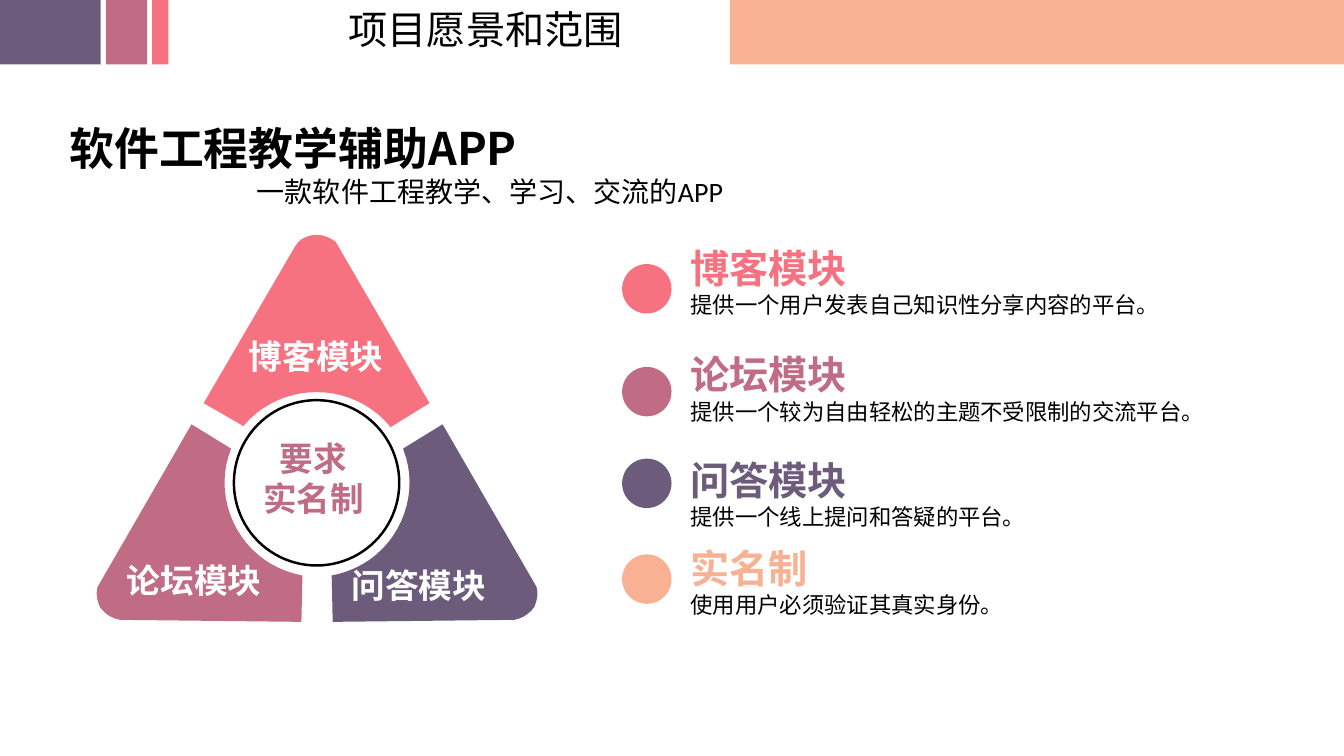
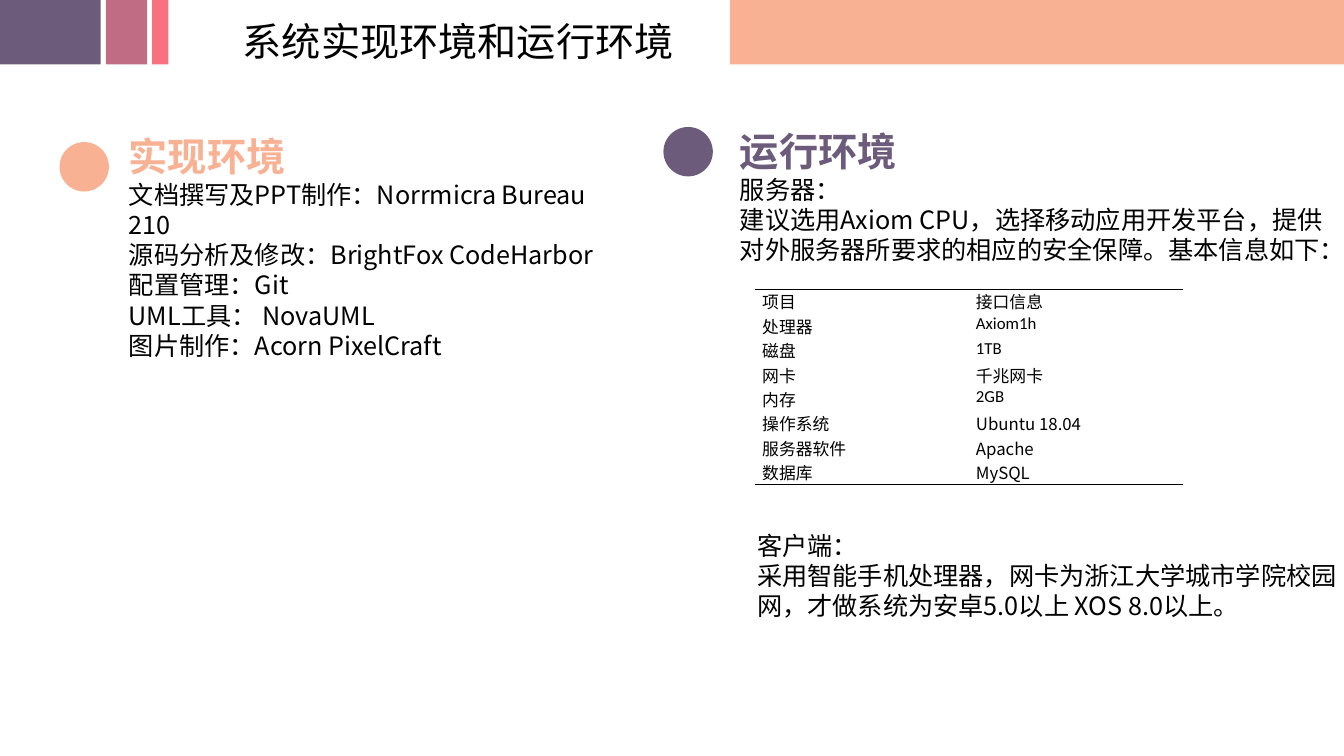
from lxml import etree
from pptx import Presentation
from pptx.dml.color import RGBColor
from pptx.enum.shapes import MSO_SHAPE
from pptx.enum.text import PP_ALIGN
from pptx.oxml.ns import qn
from pptx.util import Inches, Pt

RECTANGLE, OVAL = MSO_SHAPE.RECTANGLE, MSO_SHAPE.OVAL
LEFT, CENTER, JUSTIFY = PP_ALIGN.LEFT, PP_ALIGN.CENTER, PP_ALIGN.JUSTIFY
COLORS = {"peach": "F8B193", "purple": "6C5B7B", "mauve": "C06C84",
          "coral": "F67280", "black": "000000", "white": "FFFFFF"}
CJK, LATIN = "Noto Sans CJK SC", "Calibri"
PLAIN_TABLE_STYLE = "{2D5ABB26-0587-4C30-8999-92F81FD0307C}"

BAND_HEIGHT = 0.64
BANDS = [(7.24, 6.09, "peach"), (0, 1, "purple"),
         (1.05, 0.41, "mauve"), (1.51, 0.16, "coral")]
DOT_SIZE = 0.49

# Outlines inside the triangle box: pairs are corners, sixes are Bézier curves
TRIANGLE_WIDTH = 4.39
TOP_PART = [
    (2.19, 0), (2.26, 0, 2.33, 0.03, 2.38, 0.07), (3.31, 1.67), (2.92, 1.91),
    (2.91, 1.89), (2.74, 1.69, 2.48, 1.56, 2.19, 1.56),
    (1.9, 1.56, 1.64, 1.69, 1.47, 1.89), (1.47, 1.9), (1.07, 1.67),
    (1.98, 0.11), (2.01, 0.07), (2.05, 0.03, 2.12, 0, 2.19, 0)]
LEFT_PART = [
    (0.04, 3.69), (0.01, 3.62, 0, 3.55, 0.02, 3.49), (0.95, 1.88),
    (1.34, 2.12), (1.34, 2.13), (1.24, 2.38, 1.26, 2.67, 1.4, 2.92),
    (1.54, 3.17, 1.78, 3.33, 2.05, 3.38), (2.04, 3.84), (0.24, 3.82),
    (0.2, 3.81), (0.14, 3.79, 0.08, 3.75, 0.04, 3.69)]

# Top of the text, top of the dot, colour, heading, description
MODULES = [
    (2.37, 2.62, "coral", "博客模块", "提供一个用户发表自己知识性分享内容的平台。"),
    (3.43, 3.64, "mauve", "论坛模块", "提供一个较为自由轻松的主题不受限制的交流平台。"),
    (4.48, 4.55, "purple", "问答模块", "提供一个线上提问和答疑的平台。"),
    (5.35, 5.5, "peach", "实名制", "使用用户必须验证其真实身份。")]

TOOLS = ["文档撰写及PPT制作：Norrmicra Bureau 210", "源码分析及修改：BrightFox CodeHarbor",
         "配置管理：Git", "UML工具： NovaUML", "图片制作：Acorn PixelCraft"]
SERVER = ["服务器：", "建议选用Axiom CPU，选择移动应用开发平台，提供",
          "对外服务器所要求的相应的安全保障。基本信息如下："]
CLIENT = ["客户端：",
          "采用智能手机处理器，网卡为浙江大学城市学院校园网，才做系统为安卓5.0以上 XOS 8.0以上。"]
# Item, value, font
SERVER_ROWS = [
    ("项目", "接口信息", LATIN), ("处理器", "Axiom1h", LATIN), ("磁盘", "1TB", LATIN),
    ("网卡", "千兆网卡", LATIN), ("内存", "2GB", LATIN), ("操作系统", "Ubuntu 18.04", CJK),
    ("服务器软件", "Apache", CJK), ("数据库", "MySQL", CJK)]


def rgb(color):
    return RGBColor.from_string(COLORS[color])


def add_run(paragraph, text, size, color="black", bold=False, font=CJK):
    run = paragraph.add_run()
    run.text = text
    run.font.size = Pt(size)
    run.font.bold = bold
    run.font.color.rgb = rgb(color)
    run.font.name = font
    east_asian = etree.SubElement(run.font._element, qn("a:ea"))
    east_asian.set("typeface", CJK)


def add_text(slide, left, top, width, height, lines, align=LEFT, wrap=True):
    """Each line is (text, size, colour, bold, font); the last three are optional."""
    box = slide.shapes.add_textbox(Inches(left), Inches(top), Inches(width), Inches(height))
    frame = box.text_frame
    frame.word_wrap = wrap
    for index, line in enumerate(lines):
        paragraph = frame.add_paragraph() if index else frame.paragraphs[0]
        paragraph.alignment = align
        add_run(paragraph, *line)
    return frame


def paint(shape, color):
    shape.shadow.inherit = False
    shape.fill.solid()
    shape.fill.fore_color.rgb = rgb(color)
    shape.line.fill.background()


def add_filled(slide, kind, left, top, width, height, color):
    shape = slide.shapes.add_shape(kind, Inches(left), Inches(top), Inches(width), Inches(height))
    paint(shape, color)


def add_frame(presentation, title, left, top, width):
    """Blank slide with the header bands and the title."""
    slide = presentation.slides.add_slide(presentation.slide_layouts[6])
    for band_left, band_width, color in BANDS:
        add_filled(slide, RECTANGLE, band_left, 0, band_width, BAND_HEIGHT, color)
    add_text(slide, left, top, width, 0.57, [(title, 28)], wrap=False)
    return slide


def add_section(slide, left, top, width, height, dot_left, dot_top, color, heading, body, size,
                wrap=True):
    """Coloured dot with a heading and body lines."""
    add_filled(slide, OVAL, dot_left, dot_top, DOT_SIZE, DOT_SIZE, color)
    lines = [(heading, 28, color, True, LATIN)] + [(text, size) for text in body]
    return add_text(slide, left, top, width, height, lines, wrap=wrap)


def flatten(outline, steps=10):
    """Turn corners and cubic curves into a list of points."""
    points = []
    for segment in outline:
        if len(segment) == 2:
            points.append(segment)
            continue
        x0, y0 = points[-1]
        x1, y1, x2, y2, x3, y3 = segment
        for step in range(1, steps + 1):
            t = step / steps
            a, b, c, d = (1 - t) ** 3, 3 * t * (1 - t) ** 2, 3 * t * t * (1 - t), t ** 3
            points.append((a * x0 + b * x1 + c * x2 + d * x3,
                           a * y0 + b * y1 + c * y2 + d * y3))
    return points


def add_outline(slide, left, top, points, color):
    corners = [(Inches(left + x), Inches(top + y)) for x, y in points]
    builder = slide.shapes.build_freeform(*corners[0], scale=1.0)
    builder.add_line_segments(corners[1:], close=True)
    paint(builder.convert_to_shape(), color)


def add_triangle(slide, left, top):
    """Three module parts around a ring."""
    left_points = flatten(LEFT_PART)
    right_points = [(TRIANGLE_WIDTH - x, y) for x, y in left_points]
    parts = [(left_points, "mauve", "论坛模块", 0.21, 3.18),
             (right_points, "purple", "问答模块", 2.44, 3.23),
             (flatten(TOP_PART), "coral", "博客模块", 1.42, 0.95)]
    for points, color, label, label_left, label_top in parts:
        add_outline(slide, left, top, points, color)
        add_text(slide, left + label_left, top + label_top, 1.56, 0.5,
                 [(label, 24, "white", True)], wrap=False)
    ring = slide.shapes.add_shape(OVAL, Inches(left + 1.37), Inches(top + 1.64),
                                  Inches(1.64), Inches(1.64))
    ring.shadow.inherit = False
    ring.fill.background()
    ring.line.color.rgb = rgb("black")
    ring.line.width = Pt(1.75)
    add_text(slide, left + 1.35, top + 1.96, 1.62, 0.91,
             [(text, 24, "mauve", True) for text in ("要求", "实名制")], CENTER)


def add_border(cell, side):
    line = etree.Element(qn("a:" + side), w=str(Pt(1)))
    fill = etree.SubElement(line, qn("a:solidFill"))
    etree.SubElement(fill, qn("a:srgbClr"), val=COLORS["black"])
    cell._tc.get_or_add_tcPr().insert(0, line)


def add_server_table(slide, left, top, width, height):
    """Server data with a rule above and below."""
    last = len(SERVER_ROWS) - 1
    table = slide.shapes.add_table(last + 1, 2, Inches(left), Inches(top),
                                   Inches(width), Inches(height)).table
    table.first_row = table.horz_banding = False
    table._tbl.tblPr.find(qn("a:tableStyleId")).text = PLAIN_TABLE_STYLE
    for row, (item, value, font) in enumerate(SERVER_ROWS):
        for column, text in enumerate([item, value]):
            cell = table.cell(row, column)
            cell.margin_left = cell.margin_right = Inches(0.07)
            cell.margin_top = cell.margin_bottom = 0
            cell.fill.background()
            paragraph = cell.text_frame.paragraphs[0]
            paragraph.alignment = JUSTIFY
            add_run(paragraph, text, 12, font=font)
            if row == 0:
                add_border(cell, "lnT")
            if row == last:
                add_border(cell, "lnB")


def build_vision_slide(presentation):
    slide = add_frame(presentation, "项目愿景和范围", 3.36, 0, 2.95)
    # Product name and tagline
    intro = add_text(slide, 0.59, 1.15, 7.13, 0.98,
                     [("软件工程教学辅助APP", 32, "black", True),
                      ("一款软件工程教学、学习、交流的APP", 20, "black", False, LATIN)])
    properties = intro.paragraphs[1]._p.get_or_add_pPr()
    properties.set("marL", str(Inches(1.86)))
    # Diagram and module list
    add_triangle(slide, 0.95, 2.33)
    for top, dot_top, color, heading, description in MODULES:
        add_section(slide, 6.75, top, 6.05, 0.84, 6.17, dot_top, color,
                    heading, [description], 16)


def build_environment_slide(presentation):
    slide = add_frame(presentation, "系统实现环境和运行环境", 2.31, 0.12, 4.52)
    # Development tools
    add_section(slide, 1.18, 1.26, 5, 2.09, 0.59, 1.41, "peach", "实现环境", TOOLS, 18)
    # Server and client, both ending at the slide edge
    server = add_section(slide, 7.24, 1.21, 6.09, 1.48, 6.58, 1.26, "purple",
                         "运行环境", SERVER, 18, wrap=False)
    add_server_table(slide, 7.49, 2.87, 4.24, 1.94)
    client = add_text(slide, 7.41, 5.21, 5.92, 1.01, [(text, 18) for text in CLIENT])
    server.margin_right = client.margin_right = 0


def main():
    presentation = Presentation()
    presentation.slide_width = Inches(13.33)
    presentation.slide_height = Inches(7.5)
    build_vision_slide(presentation)
    build_environment_slide(presentation)
    presentation.save("out.pptx")


if __name__ == "__main__":
    main()
